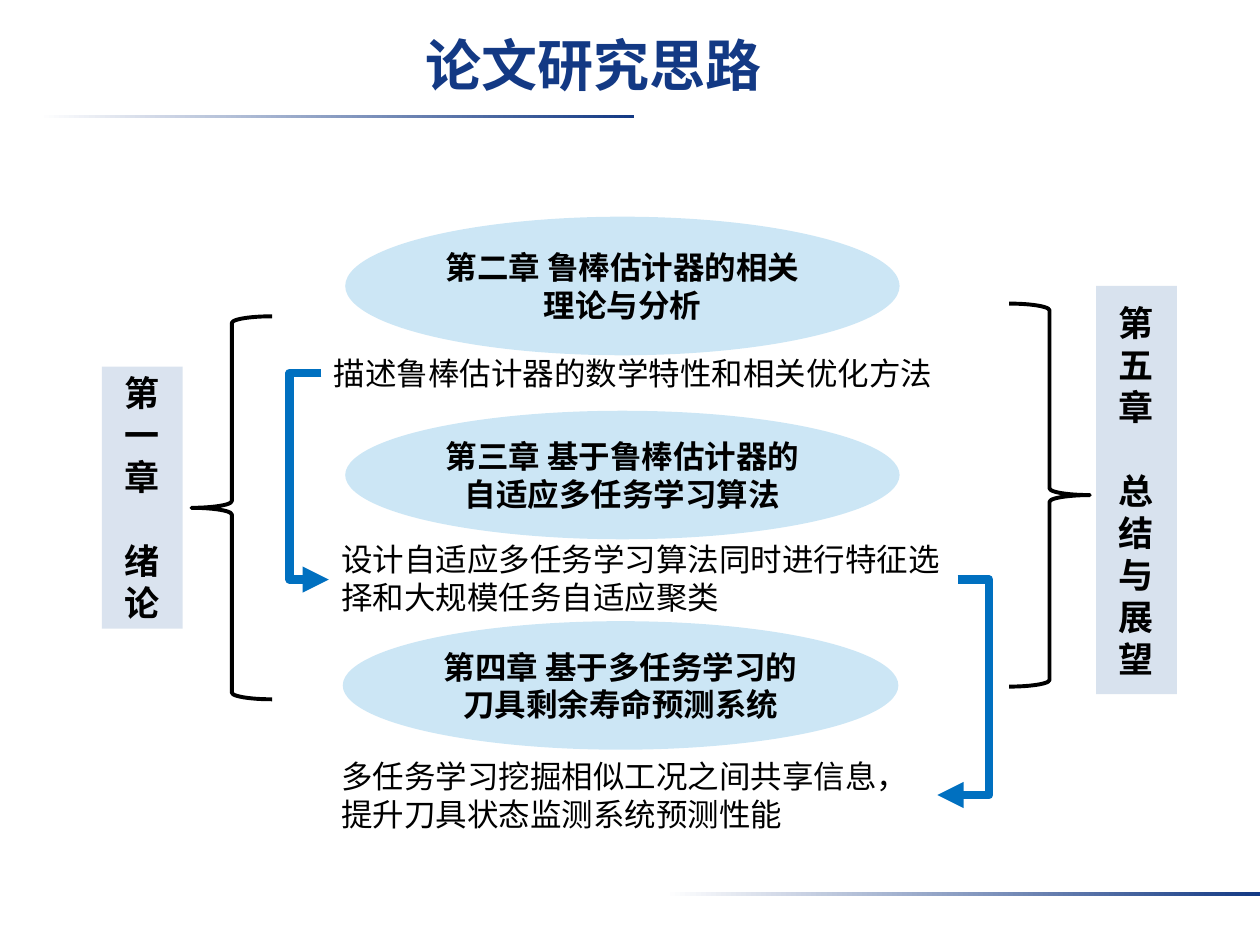
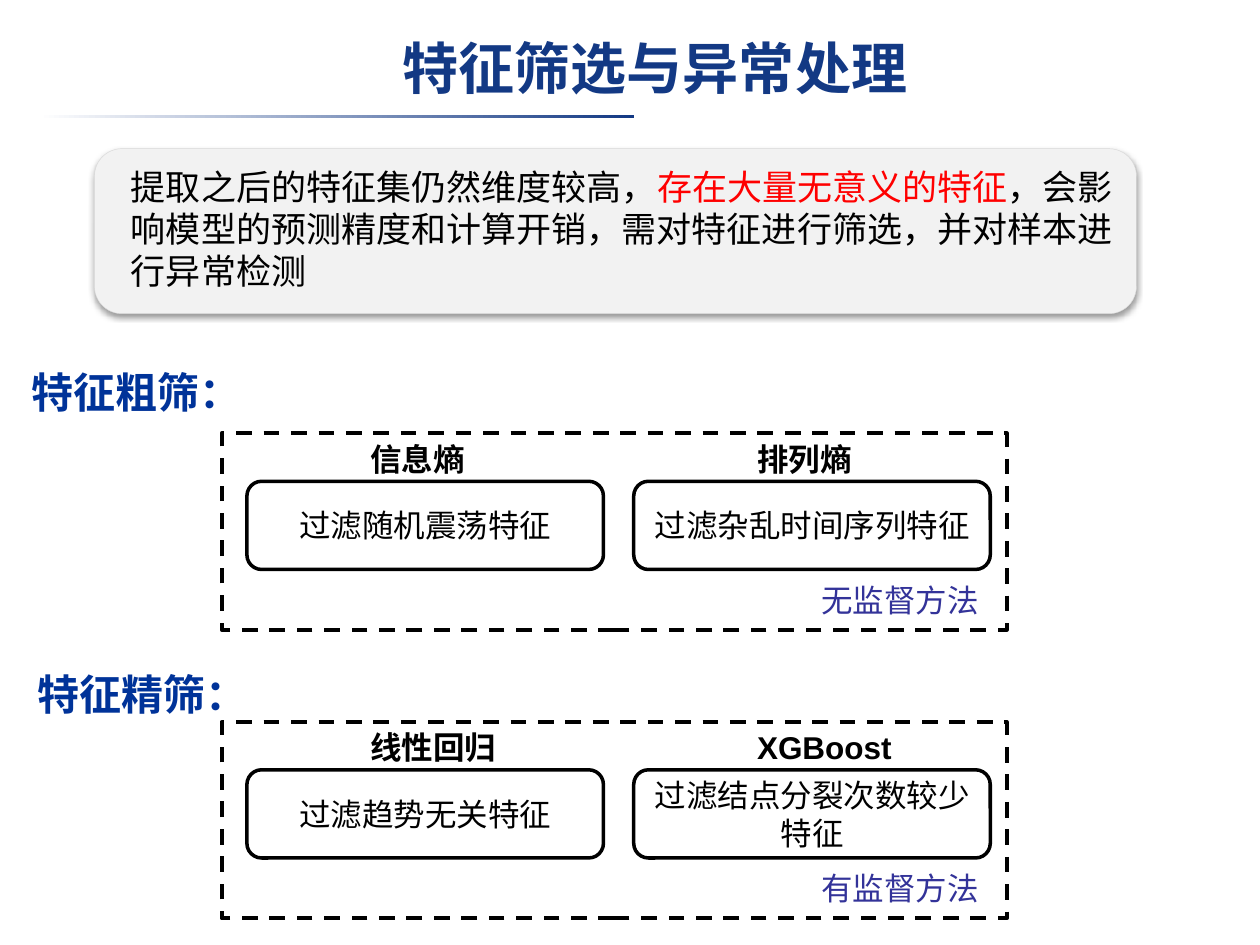
from lxml import etree
from pptx import Presentation
from pptx.dml.color import RGBColor
from pptx.enum.dml import MSO_LINE_DASH_STYLE as Dash
from pptx.enum.shapes import MSO_CONNECTOR_TYPE as ConnectorType, MSO_SHAPE as Preset
from pptx.enum.text import MSO_ANCHOR as Anchor, PP_ALIGN as Align
from pptx.oxml.ns import qn
from pptx.util import Inches, Pt

COLORS = {
    "navy": "133984", "heading": "003399", "method": "333399",
    "slate": "3F6EAA", "sky": "0086D1", "arrow": "0070C0",
    "panel": "F2F2F2", "panel_edge": "D9D9D9",
    "black": "000000", "white": "FFFFFF", "red": "FF0000",
}
RGB = {name: RGBColor.from_string(value) for name, value in COLORS.items()}
CJK_FONT = "Noto Sans CJK SC"


def add_box(slide, preset, at, fill=None, alpha=None, line=None, width=1):
    """Add a preset shape, or a text box when preset is None; at is in inches."""
    place = [Inches(value) for value in at]
    if preset is None:
        return slide.shapes.add_textbox(*place)
    shape = slide.shapes.add_shape(preset, *place)
    shape.shadow.inherit = False
    if fill:
        shape.fill.solid()
        shape.fill.fore_color.rgb = RGB[fill]
        if alpha:
            color = shape.element.spPr.find(qn("a:solidFill"))[0]
            etree.SubElement(color, qn("a:alpha"), val=str(alpha * 1000))
    else:
        shape.fill.background()
    if line:
        shape.line.color.rgb = RGB[line]
        shape.line.width = Pt(width)
    else:
        shape.line.fill.background()
    return shape


def write(shape, *paragraphs, size=18, color="black", bold=False, font=CJK_FONT,
          align=Align.LEFT, anchor=Anchor.TOP, gap=0, insets=(0.1, 0.05, 0.1, 0.05)):
    """Fill a shape; a paragraph is a string or a list of (text, color) runs."""
    frame = shape.text_frame
    frame.word_wrap = True
    frame.vertical_anchor = anchor
    (frame.margin_left, frame.margin_top,
     frame.margin_right, frame.margin_bottom) = [Inches(value) for value in insets]
    for index, content in enumerate(paragraphs):
        paragraph = frame.add_paragraph() if index else frame.paragraphs[0]
        paragraph.alignment = align
        if index:
            paragraph.space_before = Pt(gap)
        runs = [(content, color)] if isinstance(content, str) else content
        for text, run_color in runs:
            run = paragraph.add_run()
            run.text = text
            run.font.size = Pt(size)
            run.font.bold = bold
            run.font.color.rgb = RGB[run_color]
            run.font.name = font
            etree.SubElement(run.font._element, qn("a:ea"), typeface=CJK_FONT)


presentation = Presentation()
presentation.slide_width = Inches(10)
presentation.slide_height = Inches(7.5)
layout = presentation.slide_layouts[5]

# Titles
slides = []
for title, left, top in [("论文研究思路", -0.29, 0.18), ("特征筛选与异常处理", 0.2, 0.21)]:
    slide = presentation.slides.add_slide(layout)
    placeholder = slide.shapes.title
    placeholder.left, placeholder.top = Inches(left), Inches(top)
    placeholder.width, placeholder.height = Inches(10), Inches(0.75)
    write(placeholder, title, size=32, color="navy", bold=True, align=Align.CENTER,
          insets=(0.1, 0.06, 0.1, 0.05))
    slides.append(slide)
outline_slide, screening_slide = slides

# Gradient bands shared through the layout
for left, top in [(0.31, 0.91), (5.28, 7.08)]:
    band = add_box(outline_slide, Preset.RECTANGLE, (left, top, 4.72, 0.03))
    band.fill.gradient()
    band.fill.gradient_angle = 0
    for stop, name in zip(band.fill.gradient_stops, ["white", "navy"]):
        stop.color.rgb = RGB[name]
    layout.shapes.element.append(band.element)

# Slide 1: first and last chapters on the sides
for lines, at, alpha in [(("第一章", "绪论"), (0.81, 2.91, 0.64, 2.08), 19),
                         (("第五章", "总结与展望"), (8.7, 2.27, 0.64, 3.24), 20)]:
    bar = add_box(outline_slide, Preset.RECTANGLE, at, fill="slate", alpha=alpha)
    write(bar, *lines, size=20, bold=True, align=Align.CENTER,
          anchor=Anchor.MIDDLE, gap=24)

for left, top, rotation in [(1.52, 2.51, 180), (8.01, 2.41, 0)]:
    brace = add_box(outline_slide, Preset.RIGHT_BRACE, (left, top, 0.64, 3.04),
                    line="black", width=2.25)
    brace.rotation = rotation

# Slide 1: middle chapters, each with its summary
chapters = [
    ("第二章 鲁棒估计器的相关理论与分析", (2.74, 1.72, 4.4, 1.1),
     "描述鲁棒估计器的数学特性和相关优化方法", (2.55, 2.76, 5.21, 0.4)),
    ("第三章 基于鲁棒估计器的自适应多任务学习算法", (2.74, 3.26, 4.4, 1.02),
     "设计自适应多任务学习算法同时进行特征选择和大规模任务自适应聚类",
     (2.61, 4.24, 4.99, 0.71)),
    ("第四章 基于多任务学习的刀具剩余寿命预测系统", (2.72, 4.93, 4.41, 1.02),
     "多任务学习挖掘相似工况之间共享信息，提升刀具状态监测系统预测性能",
     (2.61, 5.96, 4.83, 0.71)),
]
for chapter, ellipse_at, summary, summary_at in chapters:
    ellipse = add_box(outline_slide, Preset.OVAL, ellipse_at, fill="sky", alpha=20)
    write(ellipse, chapter, bold=True, align=Align.CENTER, anchor=Anchor.MIDDLE)
    write(add_box(outline_slide, None, summary_at), summary)

# Slide 1: elbow arrows that swing out to bend_x
for start_x, start_y, end_x, end_y, bend_x in [(2.55, 2.96, 2.61, 4.6, 2.3),
                                               (7.6, 4.6, 7.44, 6.31, 7.85)]:
    arrow = outline_slide.shapes.add_connector(
        ConnectorType.ELBOW, Inches(start_x), Inches(start_y), Inches(end_x), Inches(end_y))
    arrow.line.color.rgb = RGB["arrow"]
    arrow.line.width = Pt(5)
    properties = arrow.element.spPr
    bend = round((bend_x - start_x) / (end_x - start_x) * 100000)
    guides = properties.find(qn("a:prstGeom")).find(qn("a:avLst"))
    etree.SubElement(guides, qn("a:gd"), name="adj1", fmla=f"val {bend}")
    etree.SubElement(properties.find(qn("a:ln")), qn("a:tailEnd"), type="triangle")
    etree.SubElement(properties, qn("a:effectLst"))

# Slide 2: introduction panel; the white cover hides the end of the lower band
add_box(screening_slide, Preset.RECTANGLE, (7.8, 6.82, 2.2, 0.68), fill="white")
panel = add_box(screening_slide, Preset.ROUNDED_RECTANGLE, (0.75, 1.18, 8.27, 1.31),
                fill="panel", line="panel_edge", width=0.25)
shadow = etree.SubElement(
    panel.element.spPr.find(qn("a:effectLst")), qn("a:outerShdw"),
    blurRad=str(Pt(3.1)), dist=str(Pt(1.6)), dir="5400000", algn="t", rotWithShape="0")
shadow_color = etree.SubElement(shadow, qn("a:srgbClr"), val=COLORS["black"])
etree.SubElement(shadow_color, qn("a:alpha"), val="38000")
write(add_box(screening_slide, None, (0.96, 1.23, 8.06, 1.09)),
      [("提取之后的特征集仍然维度较高，", "black"),
       ("存在大量无意义的特征", "red"),
       ("，会影响模型的预测精度和计算开销，需对特征进行筛选，并对样本进行异常检测", "black")],
      size=20, insets=(0.08, 0.08, 0.1, 0))

# Slide 2: two screening stages, each a dashed frame with two filters
stages = [
    ("特征粗筛：", 0.15, 2.86, 3.44, "无监督方法",
     [("信息熵", "过滤随机震荡特征"), ("排列熵", "过滤杂乱时间序列特征")]),
    ("特征精筛：", 0.2, 5.26, 5.73, "有监督方法",
     [("线性回归", "过滤趋势无关特征"), ("XGBoost", "过滤结点分裂次数较少特征")]),
]
for heading, heading_left, heading_top, frame_top, method, filters in stages:
    frame_box = add_box(screening_slide, Preset.RECTANGLE, (1.76, frame_top, 6.23, 1.56),
                        fill="white", line="black", width=2.25)
    frame_box.line.dash_style = Dash.DASH
    write(add_box(screening_slide, None, (heading_left, heading_top, 4.8, 0.5)),
          heading, size=24, color="heading", bold=True)
    for column, (name, purpose) in enumerate(filters):
        left = 1.96 + 3.07 * column
        filter_box = add_box(screening_slide, Preset.ROUNDED_RECTANGLE,
                             (left, frame_top + 0.38, 2.83, 0.7), line="black", width=2)
        write(filter_box, purpose, align=Align.CENTER, anchor=Anchor.MIDDLE)
        write(add_box(screening_slide, None, (left + 0.88, frame_top, 1.31, 0.4)),
              name, bold=True, font="Arial")
    write(add_box(screening_slide, None, (6.42, frame_top + 1.12, 1.57, 0.4)),
          method, color="method", font="Arial")

presentation.save("out.pptx")
